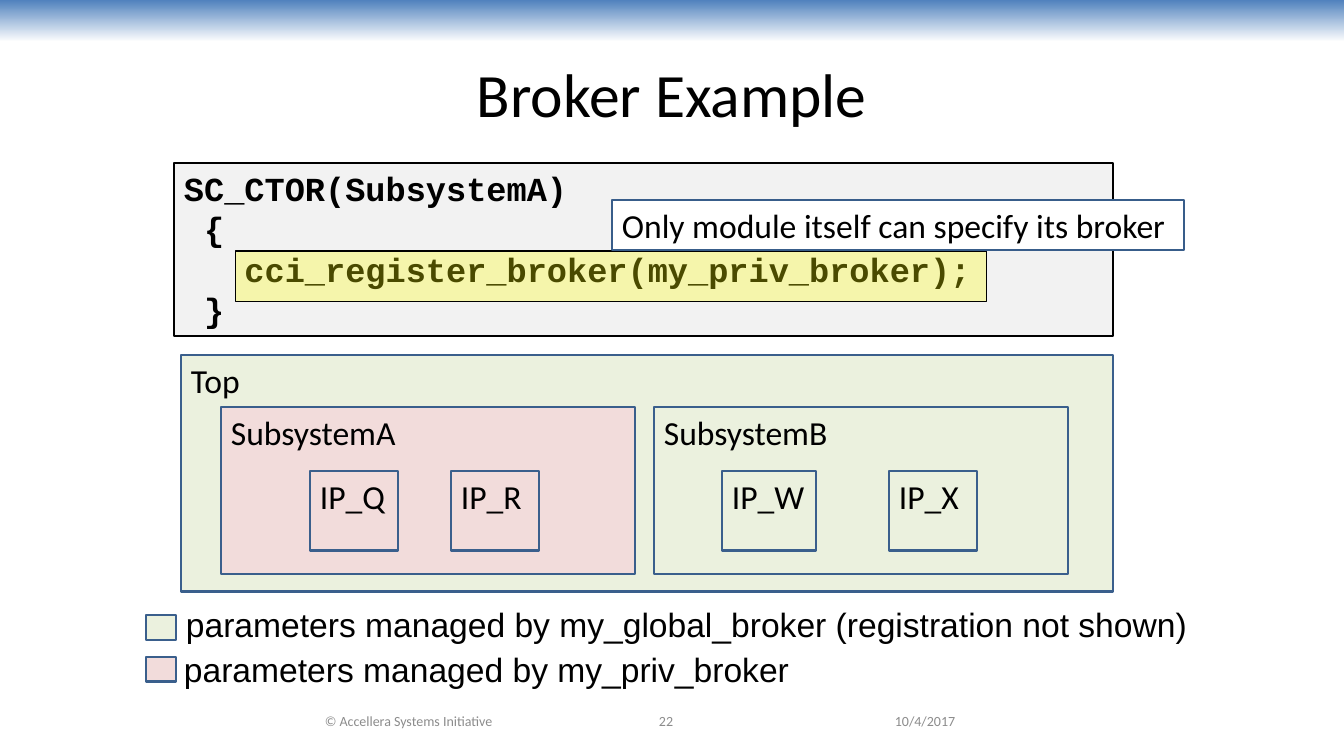
from lxml.etree import SubElement
from pptx import Presentation
from pptx.dml.color import RGBColor
from pptx.enum.shapes import MSO_SHAPE
from pptx.enum.text import MSO_ANCHOR, PP_ALIGN
from pptx.oxml.ns import qn
from pptx.util import Pt

EMU_PER_PX = 914400 / 100.8
BLACK = RGBColor(0x00, 0x00, 0x00)
WHITE = RGBColor(0xFF, 0xFF, 0xFF)
GRAY = RGBColor(0x8C, 0x8C, 0x8C)
CODE_FILL = RGBColor(0xF2, 0xF2, 0xF2)
YELLOW = RGBColor(0xFF, 0xFF, 0x00)
BAND_BLUE = RGBColor(0x4F, 0x81, 0xBD)
CALLOUT_LINE = RGBColor(0x38, 0x5D, 0x8A)
MODULE_LINE = RGBColor(0x3A, 0x5F, 0x8C)
GLOBAL_GREEN = RGBColor(0xEB, 0xF1, 0xDE)
PRIVATE_PINK = RGBColor(0xF2, 0xDC, 0xDB)

CODE = ["SC_CTOR(SubsystemA)", " {", "   cci_register_broker(my_priv_broker);", " }"]


def px(length):
    return round(length * EMU_PER_PX)


def write(frame, lines, size=24, font="Calibri", color=BLACK, bold=False,
          align=PP_ALIGN.LEFT, anchor=MSO_ANCHOR.TOP):
    frame.word_wrap = True
    frame.vertical_anchor = anchor
    for index, line in enumerate(lines):
        para = frame.add_paragraph() if index else frame.paragraphs[0]
        para.alignment = align
        span = para.add_run()
        span.text = line
        span.font.size = Pt(size)
        span.font.name = font
        span.font.bold = bold
        span.font.color.rgb = color


class SlideBuilder:
    def __init__(self, deck):
        self.page = deck.slides.add_slide(deck.slide_layouts[5])

    def title(self, text, left, top, width, height):
        box = self.page.shapes.title
        box.left, box.top, box.width, box.height = map(px, (left, top, width, height))
        write(box.text_frame, [text], size=44, align=PP_ALIGN.CENTER,
              anchor=MSO_ANCHOR.MIDDLE)

    def rectangle(self, left, top, width, height):
        box = self.page.shapes.add_shape(
            MSO_SHAPE.RECTANGLE, *map(px, (left, top, width, height)))
        box.shadow.inherit = False
        return box

    def band(self, left, top, width, height):
        """Draw a borderless bar that fades downwards from blue to white."""
        box = self.rectangle(left, top, width, height)
        box.line.fill.background()
        box.fill.gradient()
        box.fill.gradient_angle = 270
        for stop, color in zip(box.fill.gradient_stops, (BAND_BLUE, WHITE)):
            stop.color.rgb = color

    def panel(self, left, top, width, height, fill, line=MODULE_LINE,
              weight=2, lines=(), opacity=None, **style):
        box = self.rectangle(left, top, width, height)
        box.fill.solid()
        box.fill.fore_color.rgb = fill
        box.line.color.rgb = line
        box.line.width = Pt(weight)
        if opacity is not None:
            color = box.fill._xPr.find(qn("a:solidFill"))[0]
            SubElement(color, qn("a:alpha"), val=str(opacity * 1000))
        write(box.text_frame, lines, **style)

    def label(self, text, left, top, width, height, **style):
        box = self.page.shapes.add_textbox(*map(px, (left, top, width, height)))
        write(box.text_frame, [text], **style)


def main():
    deck = Presentation()
    deck.slide_width, deck.slide_height = px(1344), px(756)
    slide = SlideBuilder(deck)
    slide.band(0, 0, 1344, 42)
    slide.title("Broker Example", 67, 30, 1210, 126)

    slide.panel(174, 163, 939, 173, CODE_FILL, line=BLACK, weight=1,
                lines=CODE, font="Courier New", bold=True)
    slide.panel(236, 251, 751, 51, YELLOW, line=BLACK, weight=0.75, opacity=29)
    slide.panel(612, 200, 572, 50, WHITE, line=CALLOUT_LINE,
                lines=["Only module itself can specify its broker"])

    slide.panel(181, 355, 932, 237, GLOBAL_GREEN, lines=["Top"])
    subsystems = [
        ("SubsystemA", 221, PRIVATE_PINK, [("IP_Q", 310, 88), ("IP_R", 451, 88)]),
        ("SubsystemB", 654, GLOBAL_GREEN, [("IP_W", 722, 94), ("IP_X", 889, 88)]),
    ]
    for name, left, fill, blocks in subsystems:
        slide.panel(left, 407, 414, 167, fill, lines=[name])
        for block, block_left, width in blocks:
            slide.panel(block_left, 471, width, 80, fill, lines=[block])

    legend = [
        ("parameters managed by my_global_broker (registration not shown)",
         GLOBAL_GREEN, 615, 176, 599, 1032),
        ("parameters managed by my_priv_broker",
         PRIVATE_PINK, 657, 174, 644, 632),
    ]
    for text, fill, key_top, left, top, width in legend:
        slide.panel(146, key_top, 30, 25, fill)
        slide.label(text, left, top, width, 50, font="Arial")

    footer = [
        ("© Accellera Systems Initiative", 246, 325, PP_ALIGN.CENTER),
        ("22", 537, 258, PP_ALIGN.CENTER),
        ("10/4/2017", 885, 157, PP_ALIGN.LEFT),
    ]
    for text, left, width, align in footer:
        slide.label(text, left, 701, width, 40, size=10, color=GRAY,
                    align=align, anchor=MSO_ANCHOR.MIDDLE)
    deck.save("out.pptx")


if __name__ == "__main__":
    main()
